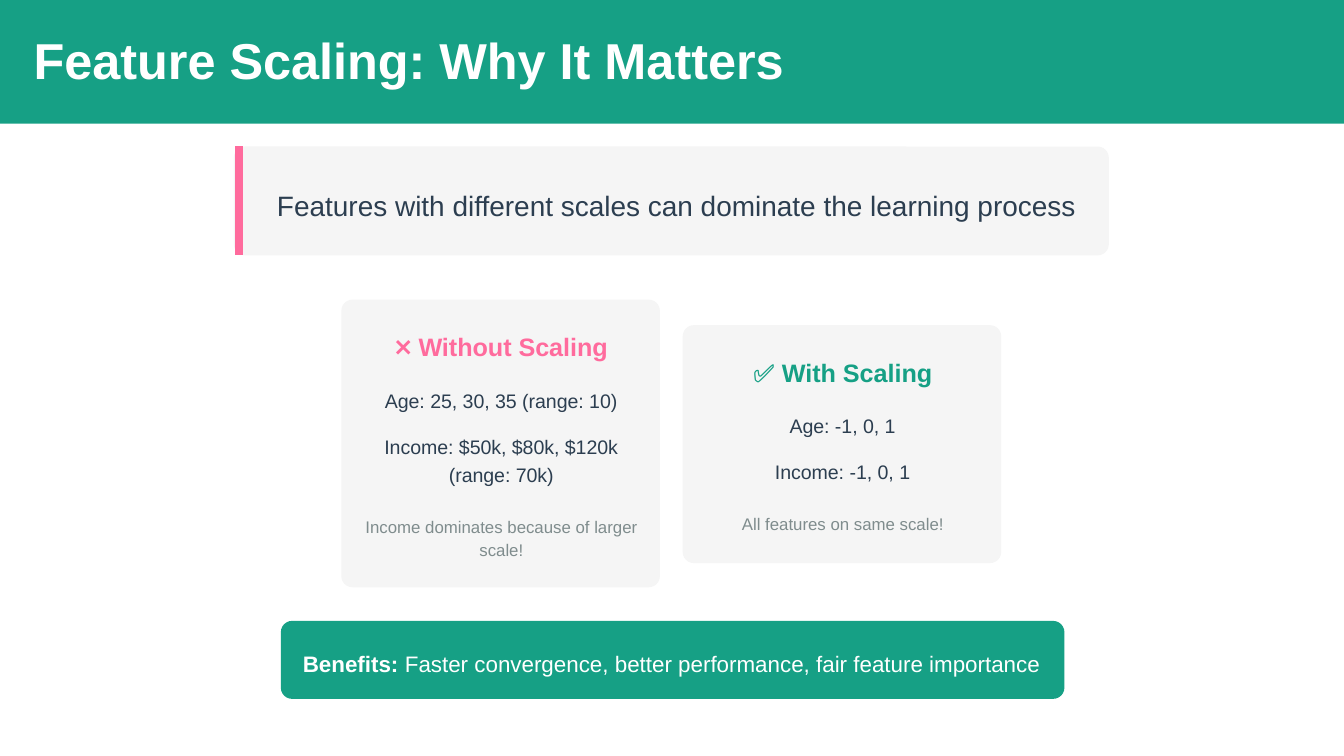
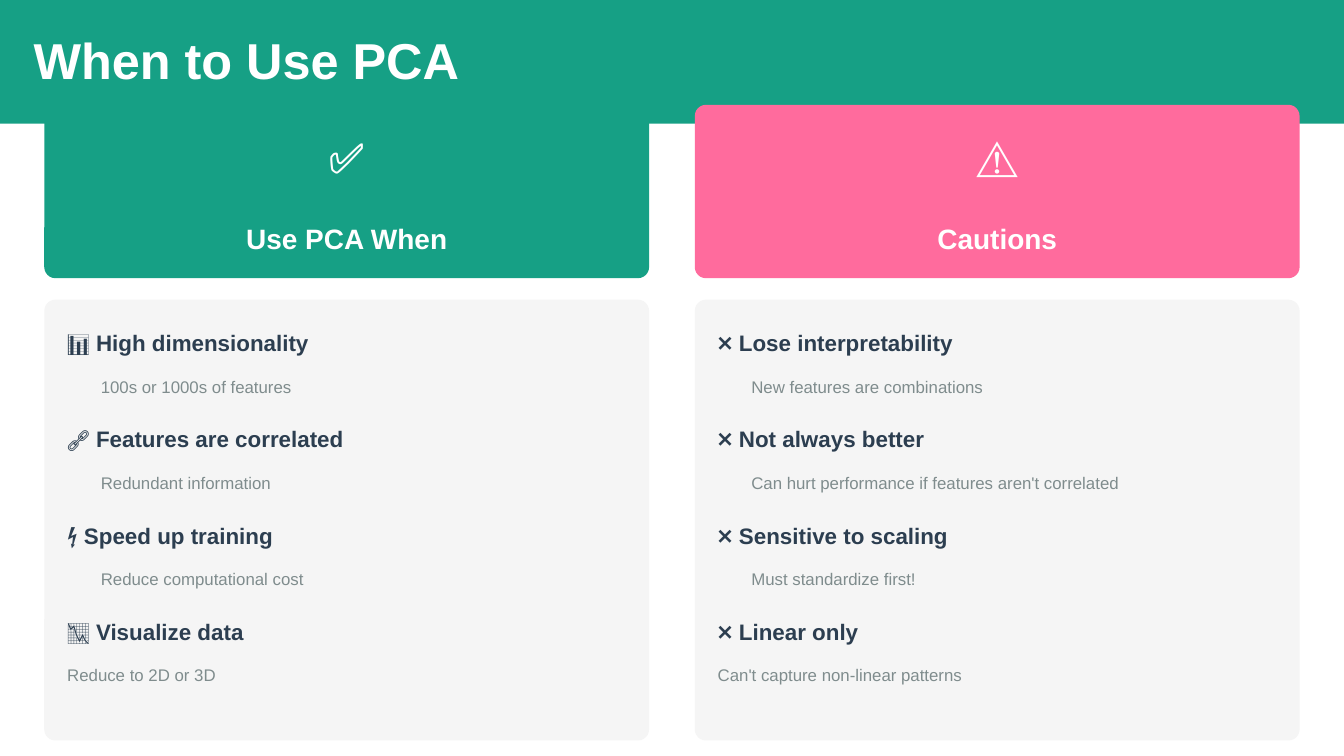
from lxml.etree import SubElement
from pptx import Presentation
from pptx.dml.color import RGBColor
from pptx.enum.shapes import MSO_CONNECTOR, MSO_SHAPE
from pptx.enum.text import MSO_ANCHOR, MSO_AUTO_SIZE, PP_ALIGN
from pptx.oxml.ns import qn
from pptx.util import Inches, Pt

GREEN, PINK, GREY = "16A085", "FF6B9D", "F5F5F5"
DARK, MUTED, WHITE = "2C3E50", "7F8C8D", "FFFFFF"
CENTER = PP_ALIGN.CENTER
RADIUS = 6 / 72


def panel(s, x, y, w, h, fill, rounded=True):
    kind = MSO_SHAPE.ROUNDED_RECTANGLE if rounded else MSO_SHAPE.RECTANGLE
    sp = s.shapes.add_shape(kind, Inches(x), Inches(y), Inches(w), Inches(h))
    if rounded:
        sp.adjustments[0] = RADIUS / min(w, h)
    sp.fill.solid()
    sp.fill.fore_color.rgb = RGBColor.from_string(fill)
    sp.line.fill.background()
    sp.shadow.inherit = False
    return sp


def write(s, text, at=None, sp=None, size=12, line=18, color=DARK, bold=False,
          lead="", lead_bold=False, align=PP_ALIGN.LEFT, after=0, indent=0):
    if sp is None:
        sp = s.shapes.add_textbox(0, 0, 0, 0)
    if at:
        sp.left, sp.top, sp.width, sp.height = [Inches(v) for v in at]
    tf = sp.text_frame
    tf.word_wrap = True
    tf.auto_size = MSO_AUTO_SIZE.NONE
    tf.vertical_anchor = MSO_ANCHOR.TOP
    tf.margin_left = tf.margin_top = tf.margin_right = tf.margin_bottom = 0
    p = tf.add_paragraph() if tf.text else tf.paragraphs[0]
    pPr = p._p.get_or_add_pPr()
    pPr.set("marL", str(Inches(indent)))
    pPr.set("indent", "0")
    SubElement(pPr, qn("a:buNone"))
    p.alignment = align
    p.line_spacing = Pt(line)
    p.space_before = Pt(0)
    p.space_after = Pt(after)
    for words, weight in ((lead, lead_bold), (text, bold)):
        if words:
            r = p.add_run()
            r.text = words
            r.font.name = "Arial"
            r.font.size = Pt(size)
            r.font.bold = weight
            r.font.color.rgb = RGBColor.from_string(color)


prs = Presentation()
prs.slide_width = Inches(10)
prs.slide_height = prs.slide_width * 9 // 16

slides = []
for layout, title, width in ((5, "Feature Scaling: Why It Matters", 5.71),
                             (3, "When to Use PCA", 4.86)):
    s = prs.slides.add_slide(prs.slide_layouts[layout])
    band = panel(s, 0, 0, 10, 0.92, GREEN, rounded=False)
    s.shapes.title._element.addprevious(band._element)
    write(s, title, (0.25, 0.25, width, 0.42), sp=s.shapes.title,
          size=27, line=30, color=WHITE, bold=True)
    slides.append(s)
scaling, pca = slides

panel(scaling, 1.74, 1.09, 6.51, 0.81, GREY)
accent = scaling.shapes.add_connector(
    MSO_CONNECTOR.STRAIGHT, Inches(1.78), Inches(1.09), Inches(1.78), Inches(1.9))
accent.line.color.rgb = RGBColor.from_string(PINK)
accent.line.width = Pt(4.5)
SubElement(accent._element.spPr, qn("a:effectLst"))
write(scaling, "Features with different scales can dominate the learning process",
      (2, 1.34, 6.07, 0.31), size=15, line=22.5, align=CENTER)

scaling_cards = [
    (2.54, 2.23, 2.14, PINK, "❌ Without Scaling", "Age: 25, 30, 35 (range: 10)",
     "Income: $50k, $80k, $120k (range: 70k)", 0.42,
     "Income dominates because of larger scale!", 0.33),
    (5.08, 2.42, 1.77, GREEN, "✅ With Scaling", "Age: -1, 0, 1",
     "Income: -1, 0, 1", 0.21, "All features on same scale!", 0.17),
]
for x, y, h, color, heading, age, income, income_h, note, note_h in scaling_cards:
    panel(scaling, x, y, 2.37, h, GREY)
    left = x + 0.15
    write(scaling, heading, (left, y + 0.17, 2.08, 0.29),
          size=13.5, line=21, color=color, bold=True, align=CENTER)
    for text, top, text_h in ((age, 0.63, 0.21), (income, 0.97, income_h)):
        write(scaling, text, (left, y + top, 2.08, text_h),
              size=10.5, line=15, align=CENTER)
    write(scaling, note, (left, y + h - 0.21 - note_h, 2.08, note_h),
          size=9, line=12, color=MUTED, align=CENTER)

panel(scaling, 2.09, 4.62, 5.83, 0.58, GREEN)
write(scaling, " Faster convergence, better performance, fair feature importance",
      (2.2, 4.79, 5.6, 0.25), color=WHITE, lead="Benefits:", lead_bold=True,
      align=CENTER)

pca_columns = [
    (0.33, GREEN, "✅", "Use PCA When", 1.53, [
        ("📊 ", "High dimensionality", "100s or 1000s of features"),
        ("🔗 ", "Features are correlated", "Redundant information"),
        ("⚡ ", "Speed up training", "Reduce computational cost"),
        ("📉 ", "Visualize data", "Reduce to 2D or 3D")]),
    (5.17, PINK, "⚠️", "Cautions", 0.91, [
        ("❌ ", "Lose interpretability", "New features are combinations"),
        ("❌ ", "Not always better",
         "Can hurt performance if features aren't correlated"),
        ("❌ ", "Sensitive to scaling", "Must standardize first!"),
        ("❌ ", "Linear only", "Can't capture non-linear patterns")]),
]
for col, (x, color, icon, heading, heading_w, points) in enumerate(pca_columns):
    middle = x + 2.25
    panel(pca, x, 0.78, 4.5, 1.29, color)
    write(pca, icon, (middle - 0.2, 0.98, 0.4, 0.38),
          size=22.5, line=27, color=WHITE, align=CENTER)
    write(pca, heading, (middle - heading_w / 2, 1.61, heading_w, 0.29),
          size=15, line=21, color=WHITE, bold=True, align=CENTER)
    card = panel(pca, x, 2.23, 4.5, 3.28, GREY)
    body = pca.placeholders[col + 1]
    card._element.addnext(body._element)
    body.left, body.top = Inches(x + 0.17), Inches(2.4)
    body.width, body.height = Inches(4.25), Inches(2.7)
    for i, (icon, point, detail) in enumerate(points):
        last = i == len(points) - 1
        write(pca, point, sp=body, bold=True, lead=icon, after=9.6)
        write(pca, detail, sp=body, size=9, line=12, color=MUTED,
              after=0 if last else 12, indent=0 if last else 0.25)

prs.save("out.pptx")
